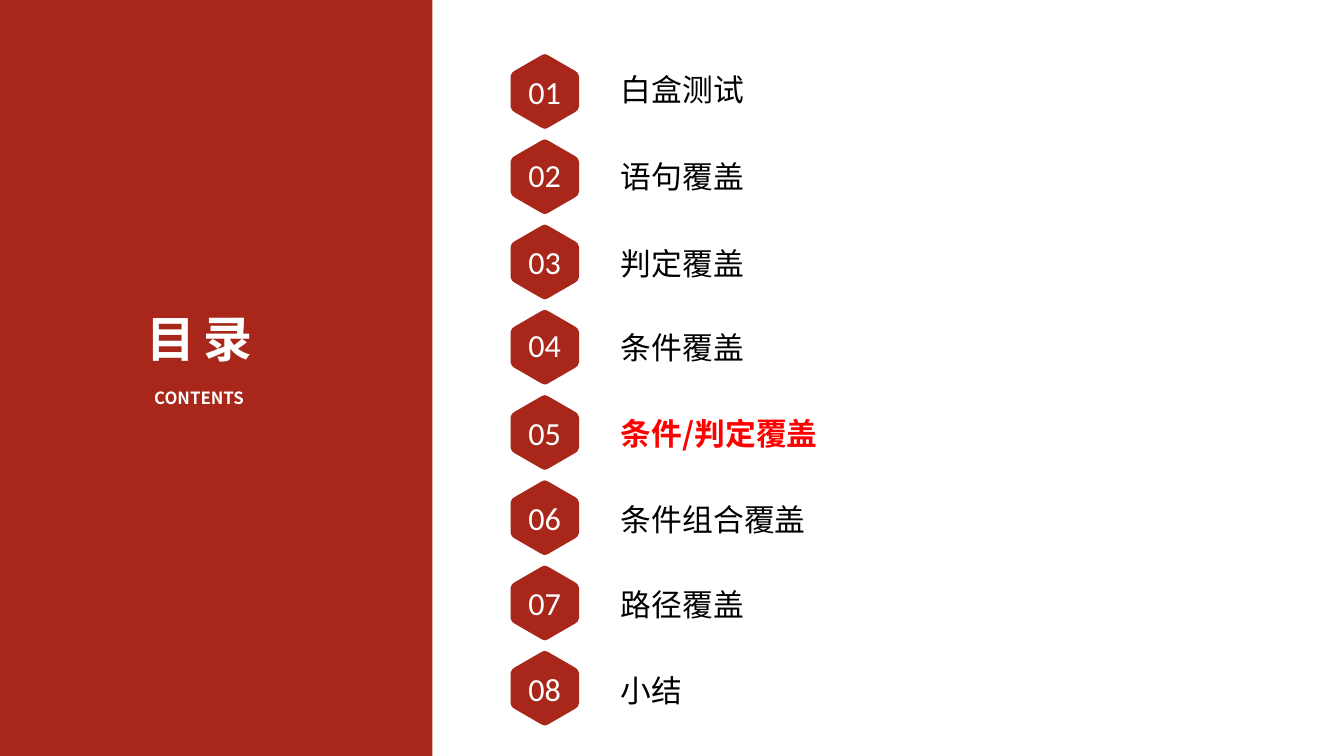
from lxml.etree import SubElement
from pptx import Presentation
from pptx.dml.color import RGBColor
from pptx.enum.shapes import MSO_SHAPE
from pptx.enum.text import MSO_ANCHOR, MSO_AUTO_SIZE, PP_ALIGN
from pptx.oxml.ns import qn
from pptx.util import Inches, Pt

RED = RGBColor(0xA8, 0x27, 0x1A)
ACCENT = RGBColor(0xFF, 0, 0)
WHITE = RGBColor(0xFF, 0xFF, 0xFF)
BLACK = RGBColor(0, 0, 0)
CJK, LATIN = "Noto Sans CJK SC", "Calibri"

TITLE, SUBTITLE = "目录", "CONTENTS"
CHAPTERS = [
    ("白盒测试", 0.27, 0.21),
    ("语句覆盖", 0.30, 0.17),
    ("判定覆盖", 0.35, 0.21),
    ("条件覆盖", 0.31, 0.16),
    ("条件/判定覆盖", 0.34, 0.21),
    ("条件组合覆盖", 0.34, 0.21),
    ("路径覆盖", 0.35, 0.21),
    ("小结", 0.35, 0.21),
]
CURRENT = 5

WIDTH, HEIGHT = 26.67, 15
PANEL_W = 8.58
FIRST_TOP, LAST_TOP = 1.08, 12.92
PITCH = (LAST_TOP - FIRST_TOP) / (len(CHAPTERS) - 1)
BADGE_X, BADGE_H = 10.81, 1.47
NUMBER_X, LABEL_X = 9.94, 12.27
CORNER = [(0.74, 0), (0.73, 0.04), (0.71, 0.08),
          (0.41, 0.6), (0.37, 0.65), (0.3, 0.68)]


def write(shape, text, size, font, color, bold=False, align=PP_ALIGN.LEFT,
          anchor=MSO_ANCHOR.TOP, spacing=0):
    tf = shape.text_frame
    tf.word_wrap = True
    tf.auto_size = MSO_AUTO_SIZE.NONE
    tf.vertical_anchor = anchor
    tf.margin_left = tf.margin_right = tf.margin_top = tf.margin_bottom = Inches(0.05)
    p = tf.paragraphs[0]
    p.alignment = align
    r = p.add_run()
    r.text = text
    r.font.size, r.font.bold, r.font.name = Pt(size), bold, font
    r.font.color.rgb = color
    rPr = p.runs[0]._r.get_or_add_rPr()
    SubElement(rPr, qn("a:ea"), typeface=font)
    if spacing:
        rPr.set("spc", str(spacing))


def add_text(shapes, box, *args, **style):
    write(shapes.add_textbox(*map(Inches, box)), *args, **style)


def paint(shape):
    shape.fill.solid()
    shape.fill.fore_color.rgb = RED
    shape.line.fill.background()
    shape.shadow.inherit = False


def add_badge(shapes, cx, cy):
    half = CORNER + [(-x, y) for x, y in CORNER[:0:-1]]
    outline = half + [(-x, -y) for x, y in half]
    points = [(Inches(cx + x), Inches(cy + y)) for x, y in outline]
    fb = shapes.build_freeform(*points[0])
    fb.add_line_segments(points[1:], close=True)
    badge = fb.convert_to_shape()
    badge.rotation = 90
    paint(badge)


def add_chapter(s, i, label, label_dy, number_dy):
    shapes = s.shapes.add_group_shape().shapes
    top = FIRST_TOP + i * PITCH
    current = i + 1 == CURRENT
    add_badge(shapes, BADGE_X, top + BADGE_H / 2)
    add_text(shapes, (NUMBER_X, top + number_dy, 1.74, 1.05), f"{i + 1:02}", 46,
             LATIN, WHITE, align=PP_ALIGN.CENTER, anchor=MSO_ANCHOR.MIDDLE)
    add_text(shapes, (LABEL_X, top + label_dy, 6.11, 0.78), label, 44, CJK,
             ACCENT if current else BLACK, bold=current)


def main():
    """Build the contents slide with the current chapter highlighted."""
    prs = Presentation()
    prs.slide_width, prs.slide_height = Inches(WIDTH), Inches(HEIGHT)
    s = prs.slides.add_slide(prs.slide_layouts[5])

    panel = s.shapes.add_shape(MSO_SHAPE.RECTANGLE, 0, 0, Inches(PANEL_W), Inches(HEIGHT))
    paint(panel)
    s.shapes.element.insert(2, panel.element)

    title = s.shapes.title
    title.left, title.top, title.width, title.height = map(Inches, (1.12, 6.08, 5.68, 2.85))
    write(title, TITLE, 70, CJK, WHITE, bold=True, align=PP_ALIGN.CENTER, spacing=1170)
    add_text(s.shapes, (1.87, 7.64, 4.16, 0.99), SUBTITLE, 24, CJK, WHITE,
             bold=True, align=PP_ALIGN.CENTER)

    for i, chapter in enumerate(CHAPTERS):
        add_chapter(s, i, *chapter)
    prs.save("out.pptx")


if __name__ == "__main__":
    main()
